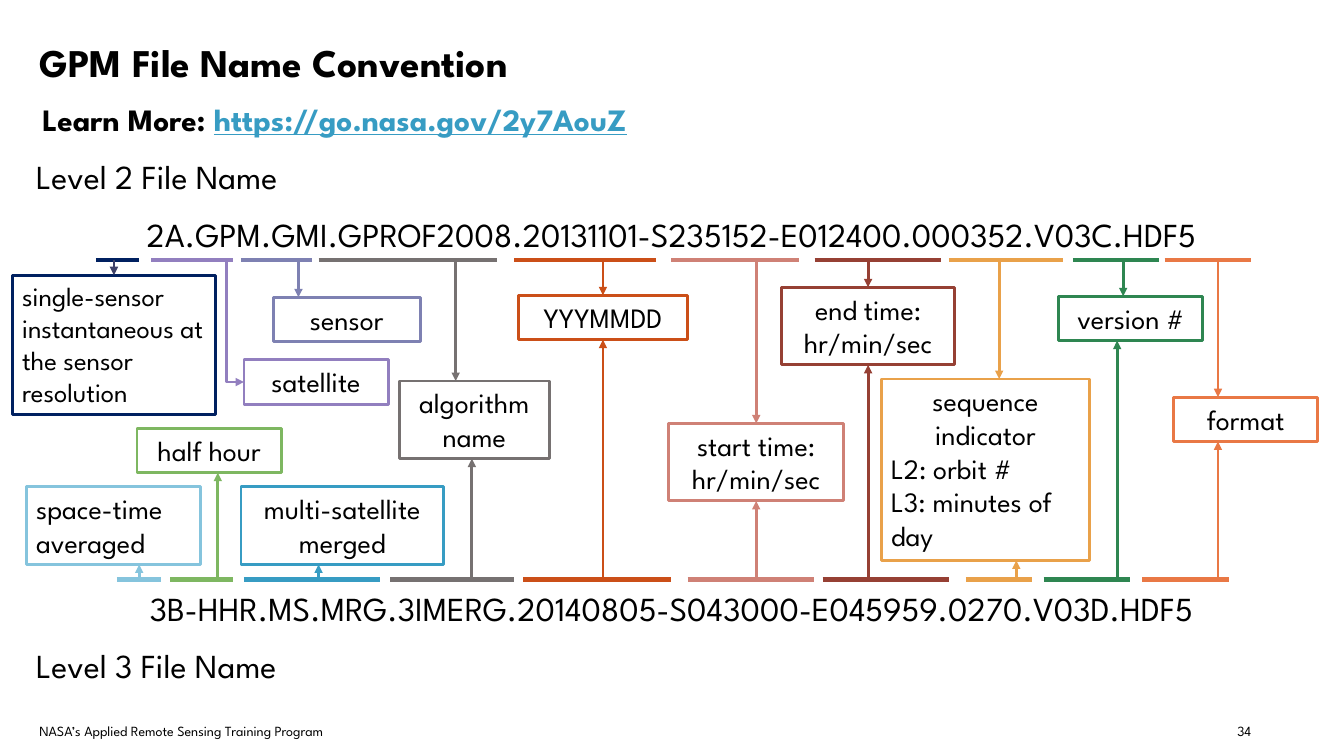
from pptx import Presentation, util as u
from pptx.dml.color import RGBColor
from pptx.enum import shapes, text
from pptx.oxml import ns
from lxml import etree

BLACK = RGBColor(0x00, 0x00, 0x00)
NAVY = RGBColor(0x00, 0x20, 0x60)
SLATE = RGBColor(0x3E, 0x41, 0x68)
SKY = RGBColor(0x85, 0xC4, 0xDD)
LIME = RGBColor(0x7E, 0xB7, 0x61)
PURPLE = RGBColor(0x92, 0x7F, 0xBF)
PERIWINKLE = RGBColor(0x7E, 0x81, 0xB2)
GRAY = RGBColor(0x76, 0x71, 0x71)
BLUE = RGBColor(0x37, 0x9C, 0xC3)
RUST = RGBColor(0xCB, 0x4F, 0x18)
BRICK = RGBColor(0x96, 0x40, 0x34)
AMBER = RGBColor(0xE9, 0xA1, 0x4A)
GREEN = RGBColor(0x2E, 0x86, 0x51)
ORANGE = RGBColor(0xE9, 0x78, 0x45)
ROSE = RGBColor(0xCF, 0x81, 0x76)

LEFT, CENTER, RIGHT = text.PP_ALIGN.LEFT, text.PP_ALIGN.CENTER, text.PP_ALIGN.RIGHT
STRAIGHT, ELBOW = shapes.MSO_CONNECTOR.STRAIGHT, shapes.MSO_CONNECTOR.ELBOW
LEVEL2_Y, LEVEL3_Y = 2.58, 5.75
WIDE_INSETS = (0.13, 0.07, 0.13, 0.07)

# Each field: colour, box, text, then (bar start, bar end, arrow x) for each level.
FIELDS = [
    (NAVY, (0.12, 2.73, 2.02, 1.38), "single-sensor instantaneous at the sensor resolution", (0.95, 1.38, 1.13), None),
    (SKY, (0.26, 4.83, 1.73, 0.77), "space-time averaged", None, (1.16, 1.6, 1.38)),
    (LIME, (1.36, 4.25, 1.43, 0.44), "half hour", None, (1.69, 2.31, 2.16)),
    (PURPLE, (2.42, 3.57, 1.43, 0.44), "satellite", (1.5, 2.31, None), None),
    (PERIWINKLE, (2.71, 2.95, 1.46, 0.44), "sensor", (2.39, 3.09, 2.96), None),
    (GRAY, (3.96, 3.78, 1.49, 0.77), "algorithm name", (3.16, 4.93, 4.52), (3.87, 5.1, 4.68)),
    (BLUE, (2.39, 4.83, 2.01, 0.77), "multi-satellite merged", None, (2.42, 3.77, 3.16)),
    (RUST, (5.14, 2.93, 1.68, 0.44), "YYYMMDD", (5.1, 6.51, 5.98), (5.19, 6.66, 5.98)),
    (BRICK, (7.75, 2.85, 1.72, 0.77), "end time: hr/min/sec", (8.08, 9.33, 8.61), (8.16, 9.41, 8.61)),
    (AMBER, (8.74, 3.76, 2.07, 1.8), "sequence indicator\nL2: orbit #\nL3: minutes of day",
     (9.41, 10.54, 9.91), (9.58, 10.24, 10.08)),
    (GREEN, (10.5, 2.94, 1.43, 0.44), "version #", (10.64, 11.5, 11.14), (10.35, 11.21, 11.08)),
    (ORANGE, (11.64, 3.94, 1.43, 0.44), "format", (11.55, 12.41, 12.08), (11.33, 12.19, 12.08)),
    (ROSE, (6.63, 4.2, 1.74, 0.77), "start time: hr/min/sec", (6.66, 7.92, 7.5), (6.82, 8.07, 7.5)),
]
LEFT_ALIGNED = (NAVY, SKY)


class Diagram:
    """Draws labels, field boxes and connectors on one page in a shared style."""

    font = "League Spartan"

    def __init__(self, page):
        self.page = page

    def style(self, para, size, align=LEFT, bold=False):
        para.alignment = align
        para.font.name, para.font.size, para.font.bold = self.font, u.Pt(size), bold
        para.font.color.rgb = BLACK

    def frame(self, box, insets=(0.1, 0.05, 0.1, 0.05), anchor=text.MSO_ANCHOR.TOP):
        frame = box.text_frame
        frame.word_wrap = True
        frame.vertical_anchor = anchor
        frame.margin_left, frame.margin_top, frame.margin_right, frame.margin_bottom = map(u.Inches, insets)
        return frame

    def label(self, bounds, words, size, align=LEFT, bold=False, **layout):
        box = self.page.shapes.add_textbox(*map(u.Inches, bounds))
        para = self.frame(box, **layout).paragraphs[0]
        for wording, color in words if isinstance(words, list) else [(words, BLACK)]:
            span = para.add_run()
            span.text = wording
            if color != BLACK:
                span.font.color.rgb = color
                span.font.underline = True
        self.style(para, size, align, bold)

    def field_box(self, bounds, words, color):
        box = self.page.shapes.add_shape(shapes.MSO_SHAPE.RECTANGLE, *map(u.Inches, bounds))
        box.shadow.inherit = False
        box.fill.background()
        box.line.color.rgb, box.line.width = color, u.Pt(2)
        frame = self.frame(box)
        frame.text = words
        for index, para in enumerate(frame.paragraphs):
            centered = index == 0 and color not in LEFT_ALIGNED
            self.style(para, 19 if color == NAVY else 20, CENTER if centered else LEFT)
        return box

    def line(self, start, end, color, width=2, arrow=True, kind=STRAIGHT):
        line = self.page.shapes.add_connector(kind, *map(u.Inches, start + end))
        line.line.color.rgb, line.line.width = color, u.Pt(width)
        properties = line._element.spPr
        if arrow:
            etree.SubElement(properties.find(ns.qn("a:ln")), ns.qn("a:tailEnd"), type="triangle")
        etree.SubElement(properties, ns.qn("a:effectLst"))
        return line

    def elbow(self, start, end, color):
        """Go down from start, then right to end, as a quarter-turned connector."""
        (x1, y1), (x2, y2) = start, end
        x, y, long, short = (x1 + x2) / 2, (y1 + y2) / 2, (y2 - y1) / 2, (x2 - x1) / 2
        line = self.line((x + long, y - short), (x - long, y + short), color, kind=ELBOW)
        properties = line._element.spPr
        properties.find(ns.qn("a:xfrm")).set("rot", "16200000")
        properties.find(ns.qn("a:prstGeom")).set("prst", "bentConnector2")

    def field(self, color, bounds, words, level2, level3):
        box = self.field_box(bounds, words, color)
        left, top, width, height = bounds
        for marks, bar_y, edge, site in ((level2, LEVEL2_Y, top, 0), (level3, LEVEL3_Y, top + height, 2)):
            if not marks:
                continue
            start, end, x = marks
            self.line((start, bar_y), (end, bar_y), color, width=3, arrow=False)
            if x is None:
                self.elbow((2.25, bar_y), (left, top + height / 2), color)
                continue
            arrow = self.line((x, bar_y), (x, edge), SLATE if color == NAVY else color)
            if abs(x - left - width / 2) < 0.01:
                arrow.end_connect(box, site)


def main():
    deck = Presentation()
    deck.slide_width, deck.slide_height = u.Inches(13.33), u.Inches(7.5)
    diagram = Diagram(deck.slides.add_slide(deck.slide_layouts[6]))
    diagram.label((0.26, 7.1, 4.29, 0.3), "NASA’s Applied Remote Sensing Training Program", 10, insets=WIDE_INSETS)
    diagram.label((11.79, 7.1, 0.75, 0.3), "34", 10, RIGHT, insets=WIDE_INSETS)
    diagram.label((0.26, 0.3, 12.8, 0.63), "GPM File Name Convention", 28, bold=True,
                  insets=WIDE_INSETS, anchor=text.MSO_ANCHOR.MIDDLE)
    diagram.label((0.26, 0.93, 12.8, 0.48), [("Learn More: ", BLACK), ("https://go.nasa.gov/2y7AouZ", BLUE)],
                  22.2, bold=True, insets=(0.16, 0.07, 0.13, 0.07))
    diagram.label((0.26, 1.5, 9.75, 0.5), "Level 2 File Name", 24)
    diagram.label((0.26, 6.35, 9.75, 0.5), "Level 3 File Name", 24)
    diagram.label((0.26, 2.07, 12.8, 0.5), "2A.GPM.GMI.GPROF2008.20131101-S235152-E012400.000352.V03C.HDF5", 24, CENTER)
    diagram.label((0.26, 5.78, 12.8, 0.5), "3B-HHR.MS.MRG.3IMERG.20140805-S043000-E045959.0270.V03D.HDF5", 24, CENTER)
    for field in FIELDS:
        diagram.field(*field)
    deck.save("out.pptx")


if __name__ == "__main__":
    main()
